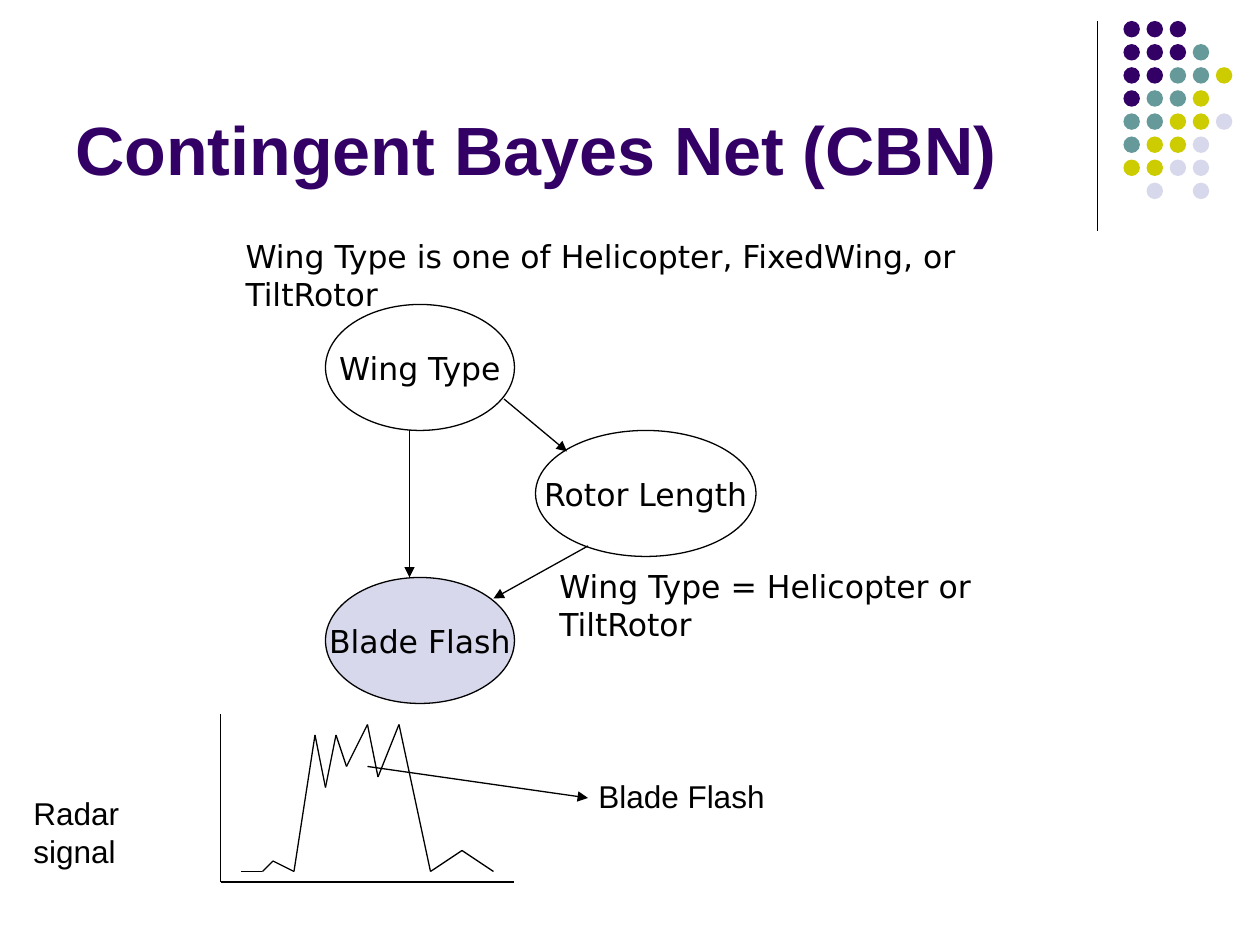
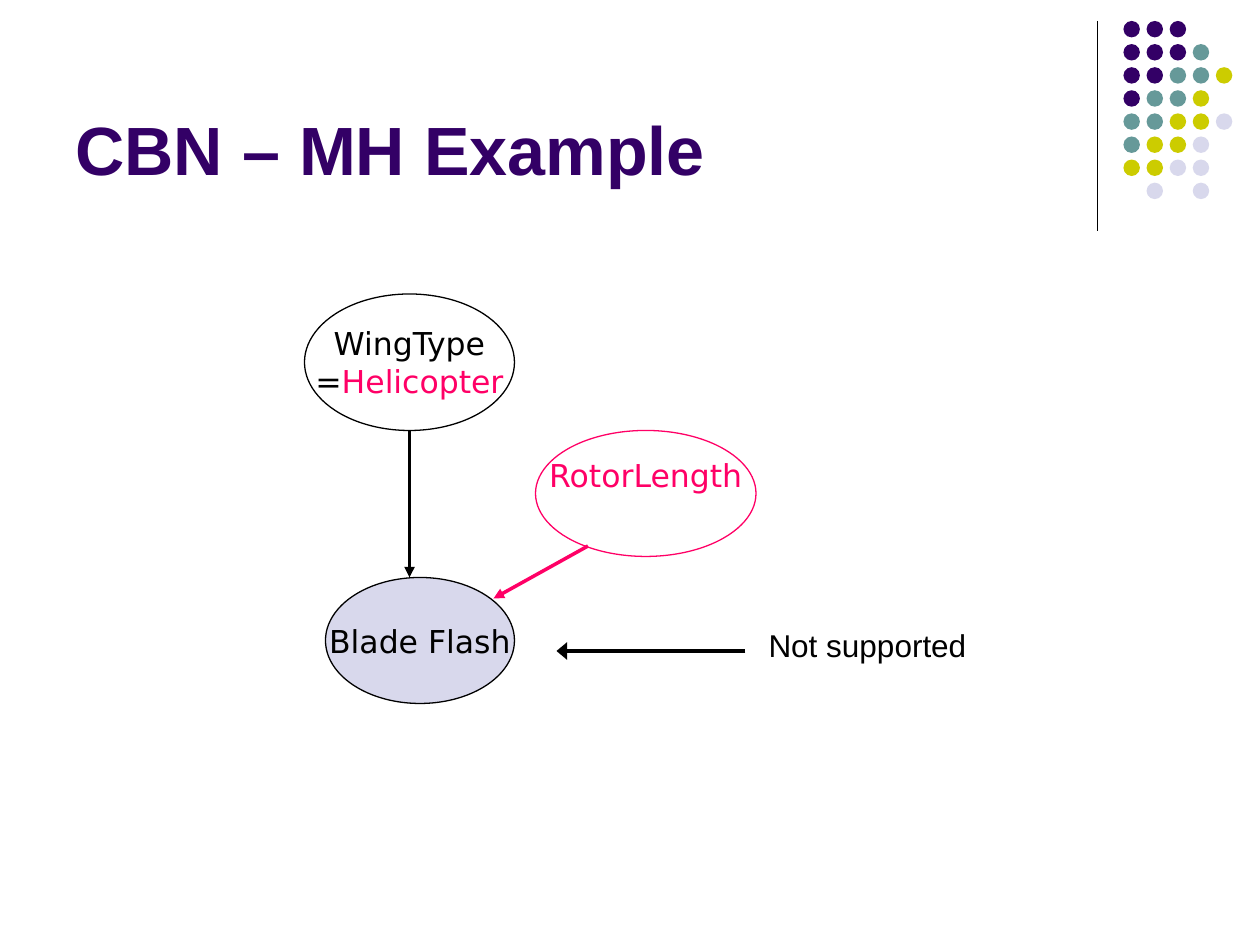
from dataclasses import dataclass
from itertools import pairwise

from lxml.etree import SubElement as Sub
from pptx import Presentation
from pptx.dml.color import RGBColor as Rgb
from pptx.enum.shapes import MSO_CONNECTOR as Link, MSO_SHAPE as Form
from pptx.enum.text import MSO_ANCHOR as Anchor, PP_ALIGN as Align
from pptx.oxml.ns import qn
from pptx.util import Pt


@dataclass(frozen=True)
class Theme:
    ink: str = "000000"
    plum: str = "330066"
    teal: str = "669999"
    lime: str = "CCCC00"
    mist: str = "D8D8EC"
    pink: str = "FF0066"
    sans: str = "Arial"
    node: str = "DejaVu Sans"
    head: int = 39
    body: int = 18
    thin: float = 0.75
    bold: float = 2


T = Theme()

# Dot grid at top right, one letter per dot
DOTS = ["PPP", "PPPT", "PPTTL", "PTTL", "TTLLM", "TLLM", "LLMM", " M M"]
HUES = {"P": T.plum, "T": T.teal, "L": T.lime, "M": T.mist}
DOT, STEP = 9.4, 13.2

# Boxes are left, top, width, height; lines are x1, y1, x2, y2
ROTOR = (306, 246, 126, 72)
FLASH = dict(box=(186, 330, 108, 72), text="Blade Flash", fill=T.mist)
DOWN = (234, 246, 234, 330)
BACK = (336, 312, 282, 342)
AXES = [(126, 504), (126, 408), (126, 504), (294, 504)]
SIGNAL = [(138, 498), (150, 498), (156, 492), (168, 498), (180, 420),
          (186, 450), (192, 420), (198, 438), (210, 414), (216, 444),
          (228, 414), (246, 498), (264, 486), (282, 498)]

SLIDES = [
    dict(
        title="Contingent Bayes Net (CBN)",
        nodes=[
            dict(box=(186, 174, 108, 72), text="Wing Type"),
            dict(box=ROTOR, text="Rotor Length"),
            FLASH,
        ],
        arrows=[
            dict(ends=DOWN),
            dict(ends=BACK),
            dict(ends=(288, 228, 324, 258)),
            dict(ends=(210, 438, 336, 456)),
        ],
        curves=[AXES[:2], AXES[2:], SIGNAL],
        labels=[
            dict(box=(312.5, 320.4, 310.3, 29), font=T.node, wrap=True,
                 text="Wing Type = Helicopter or TiltRotor"),
            dict(box=(133.2, 131.8, 474.5, 29), font=T.node, wrap=True,
                 text="Wing Type is one of Helicopter, FixedWing, or TiltRotor"),
            dict(box=(12, 450, 115.2, 29), text="Radar signal"),
            dict(box=(334.8, 440.6, 109.4, 29), text="Blade Flash"),
        ],
    ),
    dict(
        title="CBN – MH Example",
        nodes=[
            dict(box=(174, 168, 120, 78),
                 text=["WingType", [("=", T.ink), ("Helicopter", T.pink)]]),
            FLASH,
            dict(box=ROTOR, text="RotorLength", color=T.pink, low=25),
        ],
        arrows=[
            dict(ends=DOWN, width=T.bold),
            dict(ends=BACK, width=T.bold, color=T.pink),
            dict(ends=(426, 372, 318, 372), width=T.bold, size="lg"),
        ],
        curves=[],
        labels=[dict(box=(432, 354, 127.4, 29), text="Not supported",
                     align=Align.CENTER)],
    ),
]


def pts(nums):
    return [Pt(n) for n in nums]


def write(shape, text, *, font=T.sans, size=T.body, color=T.ink, bold=False,
          align=Align.LEFT, anchor=Anchor.TOP, wrap=False, low=3.6):
    """Fill a shape with a string, or a list of lines that may hold (text, colour) runs."""
    frame = shape.text_frame
    frame.word_wrap = wrap
    frame.vertical_anchor = anchor
    frame.margin_bottom = Pt(low)
    lines = [text] if isinstance(text, str) else text
    for i, line in enumerate(lines):
        para = frame.add_paragraph() if i else frame.paragraphs[0]
        para.alignment = align
        for part, hue in [(line, color)] if isinstance(line, str) else line:
            run = para.add_run()
            run.text = part
            run.font.name, run.font.size, run.font.bold = font, Pt(size), bold
            run.font.color.rgb = Rgb.from_string(hue)


def label(slide, box, text, **style):
    write(slide.shapes.add_textbox(*pts(box)), text, **style)


def oval(shapes, box, fill=None, edge=None):
    shape = shapes.add_shape(Form.OVAL, *pts(box))
    shape.shadow.inherit = False
    if fill:
        shape.fill.solid()
        shape.fill.fore_color.rgb = Rgb.from_string(fill)
    else:
        shape.fill.background()
    if edge:
        shape.line.color.rgb = Rgb.from_string(edge)
        shape.line.width = Pt(T.thin)
    else:
        shape.line.fill.background()
    return shape


def node(slide, box, text, fill=None, color=T.ink, low=3.6):
    write(oval(slide.shapes, box, fill, color), text, font=T.node, color=color,
          align=Align.CENTER, anchor=Anchor.MIDDLE, low=low)


def stroke(slide, ends, color=T.ink, width=T.thin, size=None):
    """Draw a line; size is the width of its arrowhead, if any."""
    line = slide.shapes.add_connector(Link.STRAIGHT, *pts(ends))
    line.line.color.rgb = Rgb.from_string(color)
    line.line.width = Pt(width)
    if size:
        Sub(line.line._get_or_add_ln(), qn("a:tailEnd"),
            type="triangle", w=size, len="med")
    Sub(line._element.spPr, qn("a:effectLst"))


def frame(slide, title):
    """Draw what every slide shares: rule, dot grid and title."""
    stroke(slide, (627, 12, 627, 132))
    grid = slide.shapes.add_group_shape().shapes
    for row, keys in enumerate(DOTS):
        for col, key in enumerate(keys):
            if key in HUES:
                oval(grid, (642 + col * STEP, 12 + row * STEP, DOT, DOT), HUES[key])
    label(slide, (36, 9.4, 594, 102.2), title, size=T.head, color=T.plum,
          bold=True, anchor=Anchor.BOTTOM, wrap=True)


def main():
    deck = Presentation()
    deck.slide_width, deck.slide_height = Pt(720), Pt(540)
    for page in SLIDES:
        slide = deck.slides.add_slide(deck.slide_layouts[6])
        frame(slide, page["title"])
        for item in page["nodes"]:
            node(slide, **item)
        for item in page["arrows"]:
            stroke(slide, **{"size": "med", **item})
        for curve in page["curves"]:
            for start, end in pairwise(curve):
                stroke(slide, start + end)
        for item in page["labels"]:
            label(slide, **item)
    deck.save("out.pptx")


if __name__ == "__main__":
    main()
